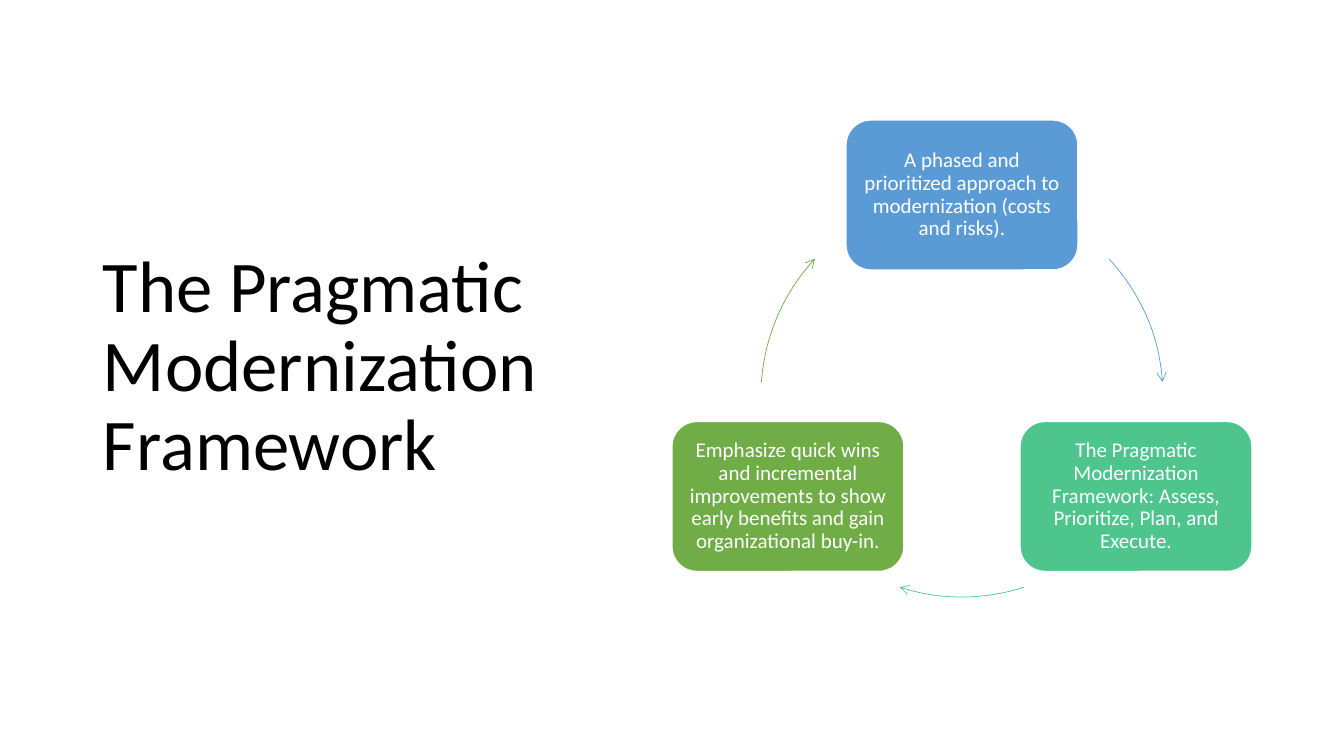
from dataclasses import dataclass
from math import cos, radians, sin

from lxml.etree import SubElement
from pptx import Presentation
from pptx.dml.color import RGBColor
from pptx.enum.shapes import MSO_SHAPE
from pptx.enum.text import MSO_ANCHOR, PP_ALIGN
from pptx.oxml.ns import qn
from pptx.util import Emu, Pt

EMU_PER_PX = 914400 / 100.8


def px(length):
    return Emu(round(length * EMU_PER_PX))


def apply_format(target, values):
    for name, value in values.items():
        setattr(target, name, value)


@dataclass(frozen=True)
class Theme:
    font: str = "Calibri"
    black: str = "000000"
    white: str = "FFFFFF"
    blue: str = "5B9BD5"
    teal: str = "4DC58D"
    green: str = "70AD47"
    title_size: int = 52
    node_size: int = 15
    line_spacing: float = 0.9
    border_width: float = 1
    arrow_width: float = 0.5


class SlideBuilder:
    def __init__(self, slide, theme):
        self.slide = slide
        self.theme = theme

    def set_text(self, shape, text, size, color, align, margins):
        frame = shape.text_frame
        frame_format = {"word_wrap": True, "vertical_anchor": MSO_ANCHOR.MIDDLE}
        for side, margin in zip(("left", "top", "right", "bottom"), margins):
            frame_format[f"margin_{side}"] = px(margin)
        apply_format(frame, frame_format)
        para = frame.paragraphs[0]
        apply_format(para, {"alignment": align, "line_spacing": self.theme.line_spacing})
        span = para.add_run()
        span.text = text
        apply_format(span.font, {"name": self.theme.font, "size": Pt(size)})
        span.font.color.rgb = RGBColor.from_string(color)

    def outline(self, shape, color, width):
        shape.shadow.inherit = False
        shape.line.color.rgb = RGBColor.from_string(color)
        shape.line.width = Pt(width)

    def title(self, text, left, top, width, height):
        box = self.slide.shapes.add_textbox(px(left), px(top), px(width), px(height))
        self.set_text(box, text, self.theme.title_size, self.theme.black,
                      PP_ALIGN.LEFT, (10, 5, 10, 5))

    def node(self, text, color, center_x, center_y, width, height):
        box = self.slide.shapes.add_shape(
            MSO_SHAPE.ROUNDED_RECTANGLE, px(center_x - width / 2),
            px(center_y - height / 2), px(width), px(height))
        box.fill.solid()
        box.fill.fore_color.rgb = RGBColor.from_string(color)
        self.outline(box, self.theme.white, self.theme.border_width)
        self.set_text(box, text, self.theme.node_size, self.theme.white,
                      PP_ALIGN.CENTER, (6, 6, 6, 6))

    def arc_arrow(self, color, center_x, center_y, radius, start, end):
        """Draw a clockwise arc between two angles in degrees, with an arrow at its end."""
        arc = self.slide.shapes.add_shape(
            MSO_SHAPE.ARC, px(center_x - radius), px(center_y - radius),
            px(2 * radius), px(2 * radius))
        for index, angle in enumerate((start, end)):
            arc.adjustments[index] = angle * 60000 / 100000
        arc.fill.background()
        self.outline(arc, color, self.theme.arrow_width)
        line = arc.element.spPr.find(qn("a:ln"))
        SubElement(line, qn("a:tailEnd"), type="arrow")


def main():
    deck = Presentation()
    apply_format(deck, {"slide_width": px(1344), "slide_height": px(756)})
    theme = Theme()
    page = SlideBuilder(deck.slides.add_slide(deck.slide_layouts[6]), theme)

    page.title("The Pragmatic Modernization Framework", 93, 61, 536, 614)

    center_x, center_y, radius = 962, 396, 201
    steps = [
        ("A phased and prioritized approach to modernization (costs and risks).",
         theme.blue, 317, 356),
        ("The Pragmatic Modernization Framework: Assess, Prioritize, Plan, and Execute.",
         theme.teal, 72, 108),
        ("Emphasize quick wins and incremental improvements to show early benefits "
         "and gain organizational buy-in.",
         theme.green, 184, 223),
    ]
    for index, (text, color, start, end) in enumerate(steps):
        angle = radians(index * 360 / len(steps) - 90)
        page.node(text, color, center_x + radius * cos(angle),
                  center_y + radius * sin(angle), 232, 150)
        page.arc_arrow(color, center_x, center_y, radius, start, end)

    deck.save("out.pptx")


if __name__ == "__main__":
    main()
